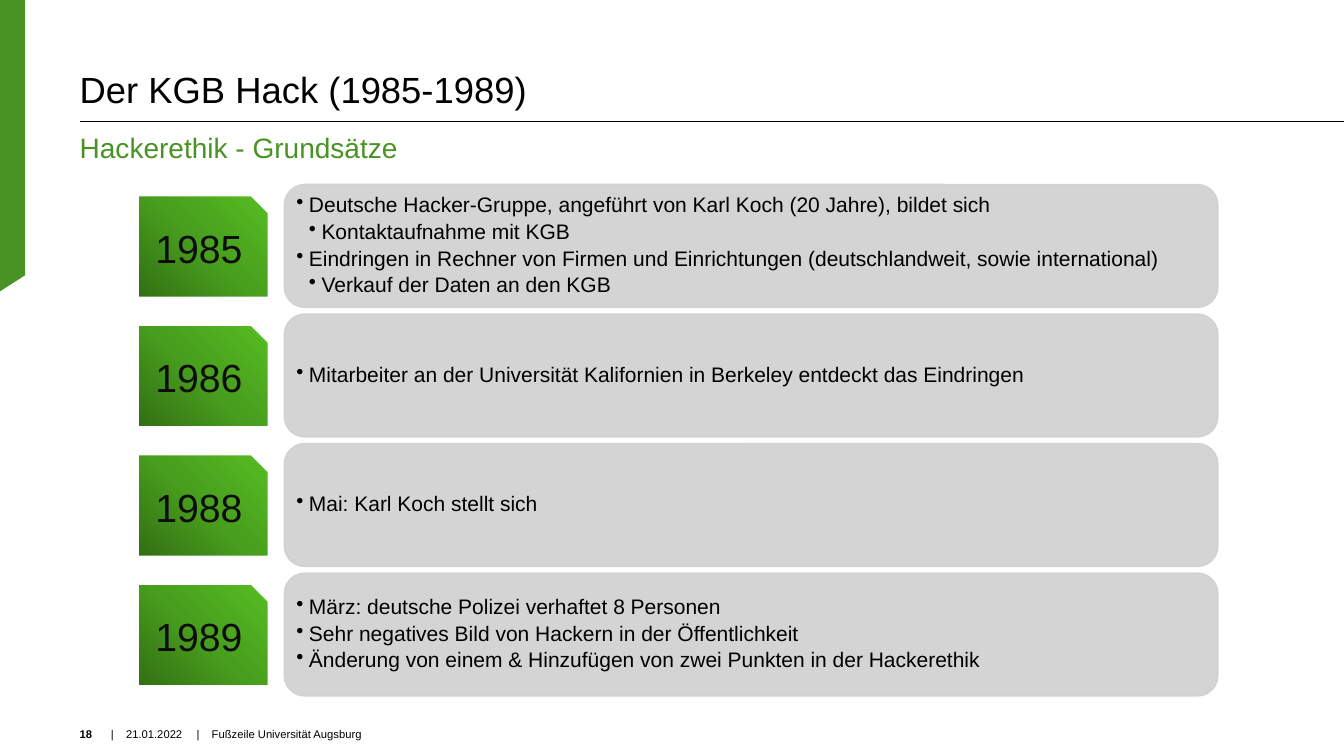
import pptx
import pptx.util
import pptx.dml.color
import pptx.enum.shapes
import pptx.enum.text
import pptx.oxml
import pptx.oxml.ns

Inches = pptx.util.Inches
Pt = pptx.util.Pt
SHAPE = pptx.enum.shapes.MSO_SHAPE
ANCHOR = pptx.enum.text.MSO_ANCHOR
ALIGN = pptx.enum.text.PP_ALIGN
NS = pptx.oxml.ns.nsdecls("a")

GREEN = "489324"
BLACK = "000000"
GREY = "D0D0D0"
YEAR_STOPS = [(0, "336F14"), (50, "489F1D"), (100, "56BC22")]
ROW_TOP, ROW_PITCH = 1.83, 1.285
ROWS = [
    ("1985", [
        (0, "Deutsche Hacker-Gruppe, angeführt von Karl Koch (20 Jahre), bildet sich"),
        (1, "Kontaktaufnahme mit KGB"),
        (0, "Eindringen in Rechner von Firmen und Einrichtungen (deutschlandweit, sowie international)"),
        (1, "Verkauf der Daten an den KGB"),
    ]),
    ("1986", [(0, "Mitarbeiter an der Universität Kalifornien in Berkeley entdeckt das Eindringen")]),
    ("1988", [(0, "Mai: Karl Koch stellt sich")]),
    ("1989", [
        (0, "März: deutsche Polizei verhaftet 8 Personen"),
        (0, "Sehr negatives Bild von Hackern in der Öffentlichkeit"),
        (0, "Änderung von einem & Hinzufügen von zwei Punkten in der Hackerethik"),
    ]),
]


def rgb(color):
    return pptx.dml.color.RGBColor.from_string(color)


def add_run(p, text, size, color, bold=False):
    r = p.add_run()
    r.text = text
    r.font.name = "Arial"
    r.font.size = Pt(size)
    r.font.bold = bold
    r.font.color.rgb = rgb(color)


def setup_frame(sp, anchor, inset_x=0, inset_y=0):
    tf = sp.text_frame
    tf.word_wrap = True
    tf.auto_size = pptx.enum.text.MSO_AUTO_SIZE.NONE
    tf.vertical_anchor = anchor
    tf.margin_left = tf.margin_right = Inches(inset_x)
    tf.margin_top = tf.margin_bottom = Inches(inset_y)
    return tf


def fill_placeholder(sp, box, text, size, color, anchor, spacing):
    sp.left, sp.top, sp.width, sp.height = map(Inches, box)
    p = setup_frame(sp, anchor).paragraphs[0]
    p.alignment = ALIGN.LEFT
    p.line_spacing = spacing
    p.space_before = Pt(0)
    add_run(p, text, size, color)


def add_box(s, kind, box, line_color):
    sp = s.shapes.add_shape(kind, *map(Inches, box))
    sp.shadow.inherit = False
    sp.line.color.rgb = rgb(line_color)
    sp.line.width = Pt(1)
    return sp


def add_panel(s, top, items):
    sp = add_box(s, SHAPE.ROUNDED_RECTANGLE, (2.82, top, 9.26, 1.22), GREY)
    sp.fill.solid()
    sp.fill.fore_color.rgb = rgb(GREY)
    for clr in sp.element.spPr.iter(pptx.oxml.ns.qn("a:srgbClr")):
        clr.append(pptx.oxml.parse_xml(f'<a:alpha {NS} val="90000"/>'))
    tf = setup_frame(sp, ANCHOR.MIDDLE, 0.06, 0.03)
    for i, (level, text) in enumerate(items):
        p = tf.paragraphs[0] if i == 0 else tf.add_paragraph()
        p.level = level
        pPr = p._p.get_or_add_pPr()
        pPr.set("marL", str(Inches(0.125 * (level + 1))))
        pPr.set("indent", str(-Inches(0.125)))
        pPr.append(pptx.oxml.parse_xml(f'<a:buChar {NS} char="•"/>'))
        p.alignment = ALIGN.LEFT
        p.line_spacing = 0.9
        p.space_after = Pt(2.8)
        add_run(p, text, 15, BLACK)
        p._p.append(pptx.oxml.parse_xml(f'<a:endParaRPr {NS} sz="1500"/>'))


def add_year(s, top, year):
    sp = add_box(s, SHAPE.SNIP_1_RECTANGLE, (1.37, top, 1.29, 1.01), "FFFFFF")
    stops = "".join(f'<a:gs pos="{pos * 1000}"><a:srgbClr val="{color}"/></a:gs>'
                    for pos, color in YEAR_STOPS)
    sp.element.spPr.find(pptx.oxml.ns.qn("a:prstGeom")).addnext(pptx.oxml.parse_xml(
        f'<a:gradFill {NS} rotWithShape="1"><a:gsLst>{stops}</a:gsLst><a:path path="circle">'
        '<a:fillToRect l="0" t="100000" r="100000" b="0"/></a:path></a:gradFill>'))
    p = setup_frame(sp, ANCHOR.MIDDLE, 0.12, 0.06).paragraphs[0]
    p.alignment = ALIGN.CENTER
    p.line_spacing = 0.9
    add_run(p, year, 28, "0D0D0D")


def add_footer(s, left, width, text, bold=False):
    sp = s.shapes.add_textbox(*map(Inches, (left, 7.11, width, 0.24)))
    p = setup_frame(sp, ANCHOR.BOTTOM).paragraphs[0]
    if "\t" in text:
        p._p.get_or_add_pPr().append(pptx.oxml.parse_xml(
            f'<a:tabLst {NS}><a:tab pos="{Inches(0.15)}" algn="l"/></a:tabLst>'))
    add_run(p, text, 8, BLACK, bold)


def add_side_band(s):
    corners = [(0.25, 0), (0.25, 2.73), (0, 2.89)]
    builder = s.shapes.build_freeform(0, 0)
    builder.add_line_segments([(Inches(x), Inches(y)) for x, y in corners])
    sp = builder.convert_to_shape()
    sp.shadow.inherit = False
    sp.fill.solid()
    sp.fill.fore_color.rgb = rgb(GREEN)
    sp.line.fill.background()


def add_title_rule(s):
    rule = s.shapes.add_connector(pptx.enum.shapes.MSO_CONNECTOR.STRAIGHT,
                                  *map(Inches, (0.79, 1.2, 13.33, 1.2)))
    rule.line.color.rgb = rgb(BLACK)
    rule.line.width = Pt(0.5)
    rule.element.spPr.append(pptx.oxml.parse_xml(f'<a:effectLst {NS}/>'))


def main():
    prs = pptx.Presentation()
    prs.slide_width, prs.slide_height = Inches(13.33), Inches(7.5)
    s = prs.slides.add_slide(prs.slide_layouts[0])
    add_side_band(s)
    add_title_rule(s)
    fill_placeholder(s.shapes.title, (0.79, 0, 11.76, 1.11),
                     "Der KGB Hack (1985-1989)", 26, BLACK, ANCHOR.BOTTOM, 0.9)
    fill_placeholder(s.placeholders[1], (0.79, 1.29, 11.76, 0.4),
                     "Hackerethik - Grundsätze", 20, GREEN, ANCHOR.TOP, 1.0)
    for i, (year, items) in enumerate(ROWS):
        top = ROW_TOP + i * ROW_PITCH
        add_panel(s, top, items)
        add_year(s, top + 0.11, year)
    add_footer(s, 0.79, 0.35, "18", bold=True)
    add_footer(s, 1.1, 0.88, "|\t21.01.2022")
    add_footer(s, 1.95, 7.98, "|\tFußzeile Universität Augsburg")
    prs.save("out.pptx")


if __name__ == "__main__":
    main()
